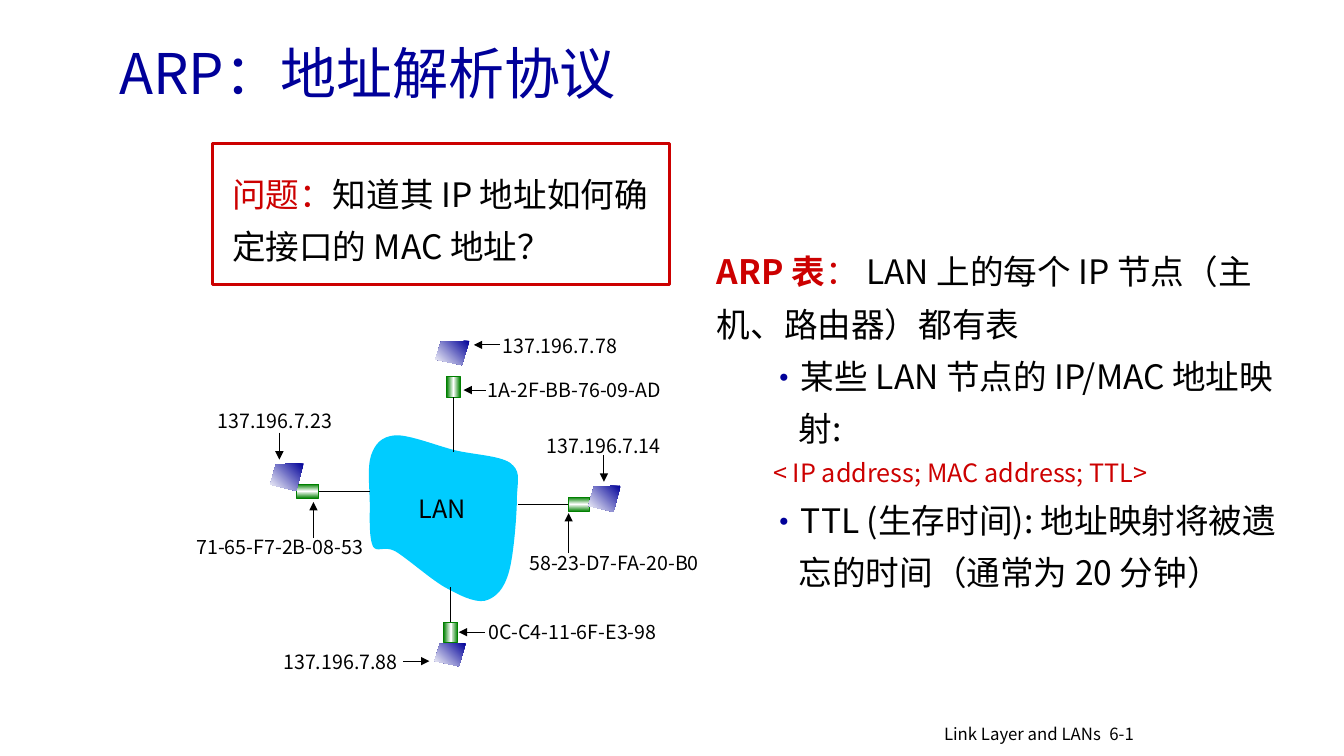
"""Build the slide on ARP, the address resolution protocol."""
from copy import deepcopy
from dataclasses import dataclass

from pptx import Presentation
from pptx.dml.color import RGBColor as RGB
from pptx.enum.shapes import MSO_CONNECTOR as Link, MSO_SHAPE as Form
from pptx.enum.text import MSO_ANCHOR as Anchor, PP_ALIGN as Align
from pptx.oxml.ns import qn
from pptx.oxml.xmlchemy import OxmlElement as Node
from pptx.util import Cm, Pt


@dataclass(frozen=True)
class Theme:
    """Colours, font and type sizes of the slide."""
    font: str = "Noto Sans CJK SC"
    navy: str = "000099"
    red: str = "CC0000"
    black: str = "000000"
    white: str = "FFFFFF"
    green: str = "008000"
    cloud: str = "00CCFF"
    head: int = 40
    body: int = 24
    mid: int = 18
    label: int = 14
    foot: int = 12
    thin: float = 0.75
    thick: float = 2.25


T = Theme()

CURVE = [
    (9.96, 10.97), (9.6, 11), (9.45, 11.2), (9.35, 11.48),
    (9.25, 11.79), (9.32, 12.34), (9.32, 12.73),
    (9.32, 13.11), (9.3, 13.56), (9.4, 13.77),
    (9.5, 13.94), (9.68, 13.74), (9.96, 13.89),
    (10.26, 14.07), (10.8, 14.55), (11.18, 14.78),
    (11.56, 14.99), (11.94, 15.19), (12.22, 15.14),
    (12.5, 15.06), (12.7, 14.86), (12.83, 14.4),
    (12.95, 13.97), (13.03, 12.93), (13.03, 12.47),
    (13.06, 12.01), (13.11, 11.86), (12.85, 11.66),
    (12.57, 11.48), (11.96, 11.46), (11.48, 11.35),
    (11, 11.23), (10.31, 10.95), (9.96, 10.97),
]
HOST = [(1, 0), (0.17, 0.03), (0, 0.77), (0.78, 1)]

# host box, chip box, chip side, wire end
NODES = [
    ((14.83, 12.24, 0.81, 0.66), (14.32, 12.53, 0.54, 0.36), 1, (13.06, 12.71)),
    ((6.81, 11.68, 0.84, 0.69), (7.47, 12.2, 0.56, 0.36), 3, (9.32, 12.38)),
    ((10.97, 8.59, 0.86, 0.61), (11.26, 9.5, 0.34, 0.51), 2, (11.43, 11.38)),
    ((10.95, 16.21, 0.79, 0.58), (11.18, 15.68, 0.36, 0.51), 0, (11.36, 14.78)),
]

# text, left, top, width, arrow start, arrow end
NOTES = [
    ("1A-2F-BB-76-09-AD", 12.04, 9.4, 5.31, (12.24, 9.83), (11.68, 9.83)),
    ("58-23-D7-FA-20-B0", 13.09, 13.77, 5.21, (14.33, 13.94), (14.33, 12.93)),
    ("0C-C4-11-6F-E3-98", 12.06, 15.49, 5.16, (12.22, 15.93), (11.56, 15.93)),
    ("71-65-F7-2B-08-53", 4.7, 13.36, 5.11, (7.9, 13.56), (7.9, 12.65)),
    ("137.196.7.23", 5.24, 10.19, 3.53, (7.04, 10.9), (7.04, 11.58)),
    ("137.196.7.78", 12.42, 8.29, 3.53, (12.6, 8.69), (11.94, 8.69)),
    ("137.196.7.14", 13.52, 10.8, 3.53, (15.22, 11.46), (15.22, 12.14)),
    ("137.196.7.88", 6.89, 16.26, 3.53, (10.16, 16.66), (10.82, 16.66)),
]


def add_run(para, text, size, tone=T.black, bold=False):
    """Add one run of text to a paragraph."""
    run = para.add_run()
    run.text = text
    font = run.font
    font.name, font.size, font.bold = T.font, Pt(size), bold
    font.color.rgb = RGB.from_string(tone)
    east = Node("a:ea")
    east.set("typeface", T.font)
    run._r.get_or_add_rPr().find(qn("a:latin")).addnext(east)


def add_box(shapes, box, runs=(), align=Align.LEFT, anchor=Anchor.TOP, space=None):
    """Add a text box with one paragraph of runs and return its frame."""
    frame = shapes.add_textbox(*map(Cm, box)).text_frame
    frame.word_wrap = True
    frame.vertical_anchor = anchor
    para = frame.paragraphs[0]
    para.alignment, para.line_spacing = align, space
    for run in runs:
        add_run(para, *run)
    return frame


def add_para(frame, runs, left, hang=0, dot=False):
    """Add an indented paragraph, with a bullet if asked."""
    para = frame.add_paragraph()
    para.line_spacing = 1.3
    props = para._p.get_or_add_pPr()
    props.set("marL", str(Cm(left)))
    props.set("indent", str(Cm(-hang)))
    if dot:
        para.level = 1
        tint, tone, face, mark = map(Node, ("a:buClr", "a:srgbClr", "a:buFont", "a:buChar"))
        tone.set("val", T.navy)
        face.set("typeface", T.font)
        mark.set("char", "•")
        tint.append(tone)
        props.extend([tint, face, mark])
    for run in runs:
        add_run(para, *run)


def add_line(shapes, start, end, arrow=False):
    """Add a thin straight line, with an arrowhead if asked."""
    line = shapes.add_connector(Link.STRAIGHT, *map(Cm, start + end))
    line.line.color.rgb = RGB.from_string(T.black)
    line.line.width = Pt(T.thin)
    line._element.spPr.append(Node("a:effectLst"))
    if arrow:
        tip = Node("a:tailEnd")
        tip.set("type", "triangle")
        line.line._get_or_add_ln().append(tip)
    return line


def add_rect(shapes, box, tone, width):
    """Add an unfilled rectangle with a coloured edge."""
    rect = shapes.add_shape(Form.RECTANGLE, *map(Cm, box))
    rect.shadow.inherit = False
    rect.fill.background()
    rect.line.color.rgb = RGB.from_string(tone)
    rect.line.width = Pt(width)
    return rect


def add_free(shapes, points):
    """Add a closed outline without an edge."""
    dots = [(Cm(x), Cm(y)) for x, y in points]
    pen = shapes.build_freeform(*dots[0])
    pen.add_line_segments(dots[1:], close=True)
    shape = pen.convert_to_shape()
    shape.shadow.inherit = False
    shape.line.fill.background()
    return shape


def bend(shape):
    """Turn each three line steps of an outline into one cubic curve."""
    steps = list(shape._element.spPr.iter(qn("a:lnTo")))
    for i in range(0, len(steps) - 2, 3):
        curve = Node("a:cubicBezTo")
        steps[i].addprevious(curve)
        for step in steps[i:i + 3]:
            curve.append(step[0])
            step.getparent().remove(step)


def shade(shape, tones, angle):
    """Fill a shape with evenly spaced gradient tones."""
    shape.fill.gradient()
    shape.fill.gradient_angle = angle
    stops = shape._element.spPr.find(".//" + qn("a:gsLst"))
    while len(stops) < len(tones):
        stops.append(deepcopy(stops[0]))
    for i, (stop, tone) in enumerate(zip(shape.fill.gradient_stops, tones)):
        stop.color.rgb = RGB.from_string(tone)
        stop.position = i / (len(tones) - 1)


def add_node(shapes, host, chip, side, end):
    """Add a host with its network chip and the wire to the LAN."""
    port = add_rect(shapes, chip, T.green, T.thin)
    shade(port, (T.green, T.white, T.green), 90 if chip[2] > chip[3] else 0)
    left, top, width, height = host
    body = add_free(shapes, [(left + x * width, top + y * height) for x, y in HOST])
    shade(body, (T.navy, T.white), 225)
    add_line(shapes, end, end).begin_connect(port, side)


def main():
    """Build and save the slide."""
    deck = Presentation()
    deck.slide_width, deck.slide_height = Cm(33.87), Cm(19.05)
    shapes = deck.slides.add_slide(deck.slide_layouts[6]).shapes
    add_box(shapes, (2.76, 0.56, 22.76, 2.51),
            [("ARP：地址解析协议", T.head, T.navy)], anchor=Anchor.MIDDLE)

    frame = add_box(shapes, (17.82, 5.9, 14.66, 10.77), [
        ("ARP 表", T.body, T.red, True), ("： ", T.body, T.red),
        ("LAN 上的每个 IP 节点（主机、路由器）都有表", T.body)], space=1.3)
    add_para(frame, [("某些 LAN 节点的 IP/MAC 地址映射:", T.body)], 2.06, 0.79, True)
    add_para(frame, [("< IP address; MAC address; TTL>", T.mid, T.red)], 1.42)
    add_para(frame, [("TTL (生存时间): 地址映射将被遗忘的时间（通常为 20 分钟）", T.body)],
             2.06, 0.79, True)

    add_box(shapes, (5.6, 3.95, 11.13, 2.79), [
        ("问题：", T.body, T.red),
        ("知道其 IP 地址如何确定接口的 MAC 地址？", T.body)], space=1.3)
    add_rect(shapes, (5.36, 3.61, 11.51, 3.56), T.red, T.thick)

    cloud = add_free(shapes, CURVE)
    bend(cloud)
    cloud.fill.solid()
    cloud.fill.fore_color.rgb = RGB.from_string(T.cloud)
    add_box(shapes, (9.95, 12.3, 2.41, 1.02), [("LAN", T.mid)], Align.CENTER)
    for node in NODES:
        add_node(shapes, *node)
    for text, left, top, width, start, end in NOTES:
        add_box(shapes, (left, top, width, 0.86), [(text, T.label)])
        add_line(shapes, start, end, arrow=True)

    add_box(shapes, (27.71, 18.11, 1.52, 0.76), [("6-1", T.foot)])
    add_box(shapes, (21.95, 18.11, 6.05, 0.66),
            [("Link Layer and LANs", T.foot)], Align.RIGHT)
    deck.save("out.pptx")


if __name__ == "__main__":
    main()
